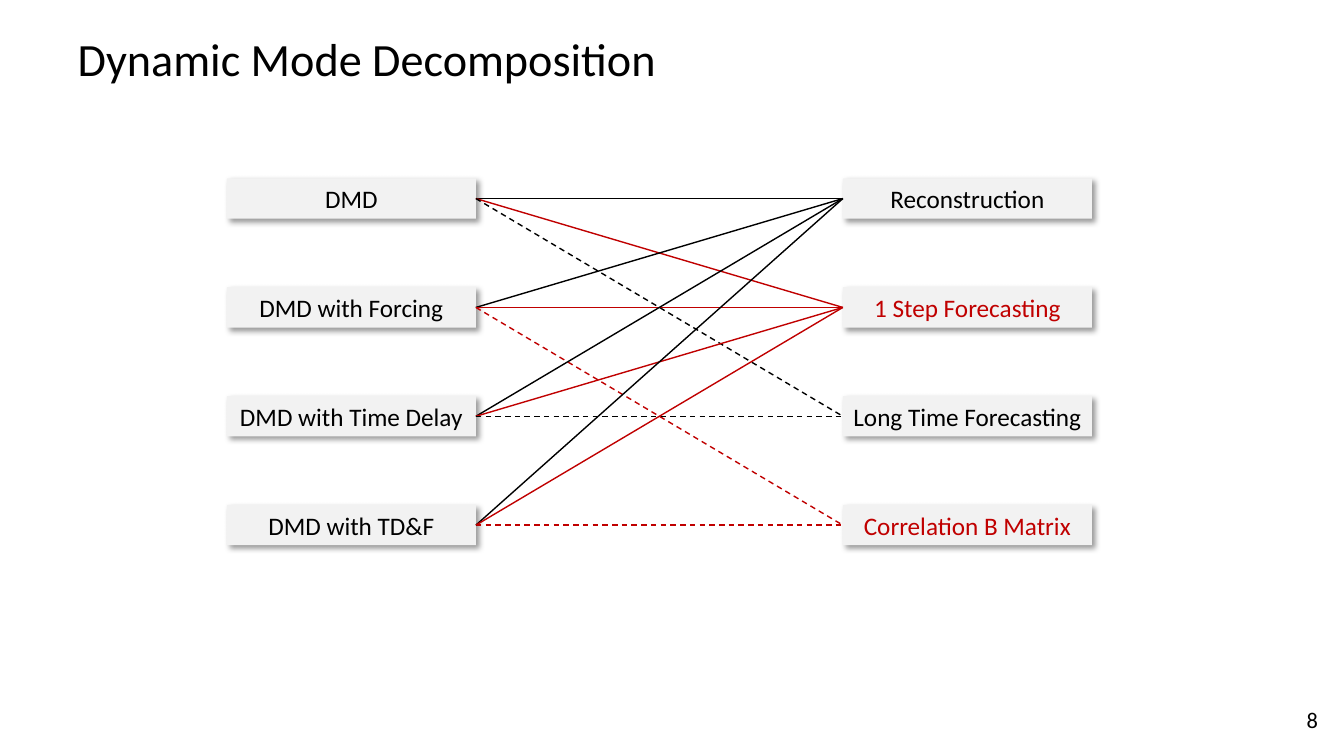
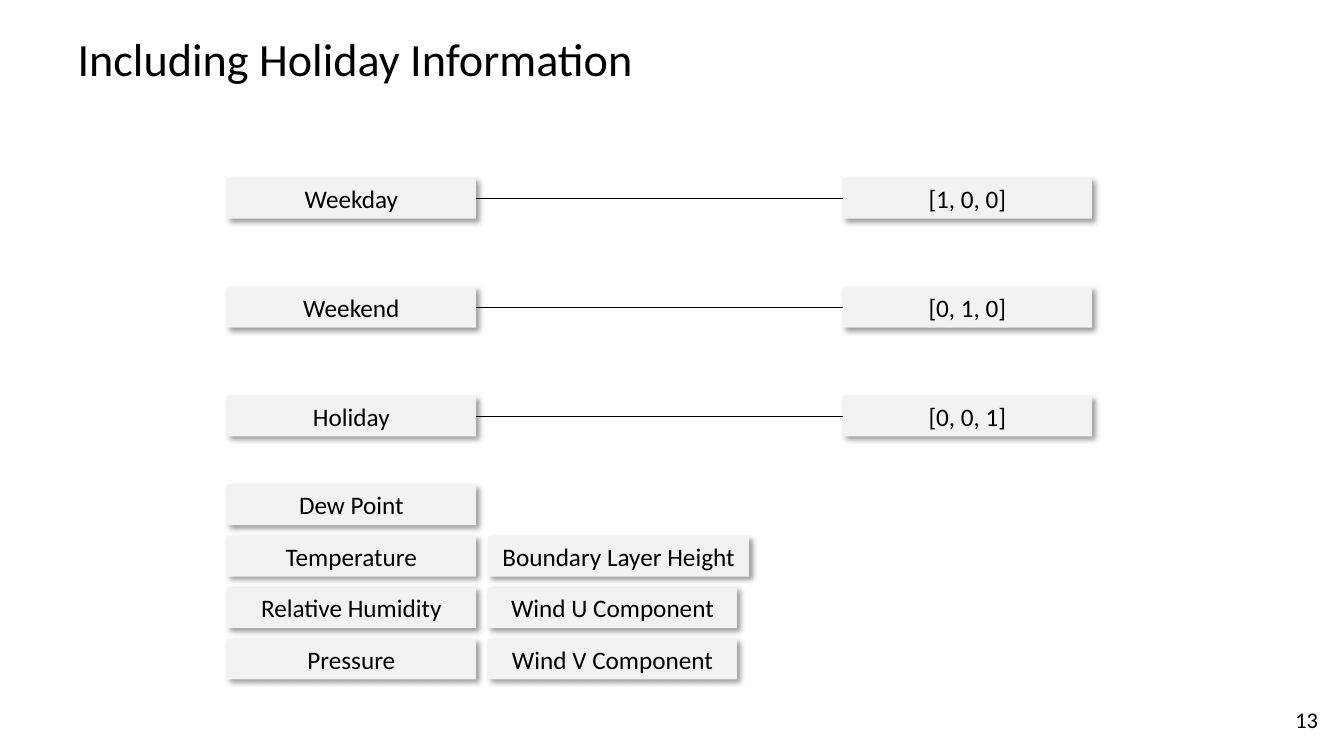
"""Build two slides of linked label boxes."""
from lxml.etree import SubElement as Sub
from pptx import Presentation
from pptx.dml.color import RGBColor as Rgb
from pptx.enum.dml import MSO_LINE as Dash
from pptx.enum.shapes import MSO_CONNECTOR as Conn, MSO_SHAPE as Shape
from pptx.enum.text import MSO_ANCHOR as Anchor, MSO_AUTO_SIZE as Auto, PP_ALIGN as Align
from pptx.oxml.ns import qn
from pptx.util import Pt

PX = 9144
FONT = "Calibri"
BLACK = Rgb(0x00, 0x00, 0x00)
RED = Rgb(0xC0, 0x00, 0x00)
GREY = Rgb(0xF2, 0xF2, 0xF2)

WIDE, HIGH = 247, 40
LEFT, MID, RIGHT = 225, 484, 836
TOP, STEP = 177, 108
LOW, PITCH = 481, 51
LEFT_SITE, RIGHT_SITE = 1, 3


def px(*sizes):
    return [size * PX for size in sizes]


def write(frame, text, size, color=BLACK, align=Align.LEFT, anchor=Anchor.MIDDLE):
    frame.auto_size = Auto.NONE
    frame.vertical_anchor = anchor
    para = frame.paragraphs[0]
    para.alignment = align
    run = para.add_run()
    run.text = text
    run.font.name = FONT
    run.font.size = Pt(size)
    run.font.color.rgb = color
    return para


def add_slide(deck, title, number):
    slide = deck.slides.add_slide(deck.slide_layouts[5])
    head = slide.shapes.title
    head.left, head.top, head.width, head.height = px(67, 31, 1063, 60)
    write(head.text_frame, title, 33).line_spacing = 0.9
    foot = slide.shapes.add_textbox(*px(1268, 694, 49, 40))
    foot.text_frame.word_wrap = True
    write(foot.text_frame, str(number), 16, align=Align.RIGHT)
    return slide


def add_shade(box):
    box.shadow.inherit = False
    effects = box._element.spPr.find(qn("a:effectLst"))
    shade = Sub(effects, qn("a:outerShdw"), blurRad="50800", dist="38100",
                dir="2700000", algn="tl", rotWithShape="0")
    tint = Sub(shade, qn("a:srgbClr"), val=str(BLACK))
    Sub(tint, qn("a:alpha"), val="40000")


def add_box(slide, text, left, top, color=BLACK, wide=WIDE):
    box = slide.shapes.add_shape(Shape.RECTANGLE, *px(left, top, wide, HIGH))
    box.fill.solid()
    box.fill.fore_color.rgb = GREY
    box.line.fill.background()
    add_shade(box)
    box.text_frame.word_wrap = False
    write(box.text_frame, text, 18, color, Align.CENTER, Anchor.TOP)
    return box


def add_stack(slide, texts, left, top, step, reds=()):
    return [add_box(slide, text, left, top + row * step, RED if row in reds else BLACK)
            for row, text in enumerate(texts)]


def add_link(slide, start, end, color=BLACK, dashed=False):
    link = slide.shapes.add_connector(Conn.STRAIGHT, 0, 0, 0, 0)
    link.begin_connect(start, RIGHT_SITE)
    link.end_connect(end, LEFT_SITE)
    link.line.color.rgb = color
    link.line.width = Pt(1)
    if dashed:
        link.line.dash_style = Dash.DASH
    Sub(link._element.spPr, qn("a:effectLst"))


def add_modes(deck):
    slide = add_slide(deck, "Dynamic Mode Decomposition", 8)
    reds = (1, 3)
    models = add_stack(slide, ("DMD", "DMD with Forcing", "DMD with Time Delay",
                               "DMD with TD&F"), LEFT, TOP, STEP)
    tasks = add_stack(slide, ("Reconstruction", "1 Step Forecasting", "Long Time Forecasting",
                              "Correlation B Matrix"), RIGHT, TOP, STEP, reds)
    goals = ((0, 1, 2), (0, 1, 3), (0, 1, 2), (3, 0, 1))
    for model, rows in zip(models, goals):
        for row in rows:
            add_link(slide, model, tasks[row], RED if row in reds else BLACK, row > 1)


def add_days(deck):
    slide = add_slide(deck, "Including Holiday Information", 13)
    days = add_stack(slide, ("Weekday", "Weekend", "Holiday"), LEFT, TOP, STEP)
    codes = add_stack(slide, ("[1, 0, 0]", "[0, 1, 0]", "[0, 0, 1]"), RIGHT, TOP, STEP)
    for day, code in zip(days, codes):
        add_link(slide, day, code)
    add_stack(slide, ("Dew Point", "Temperature", "Relative Humidity", "Pressure"),
              LEFT, LOW, PITCH)
    add_box(slide, "Boundary Layer Height", MID, LOW + PITCH, wide=259)
    add_stack(slide, ("Wind U Component", "Wind V Component"), MID, LOW + 2 * PITCH, PITCH)


def main():
    deck = Presentation()
    deck.slide_width, deck.slide_height = px(1333, 750)
    add_modes(deck)
    add_days(deck)
    deck.save("out.pptx")


if __name__ == "__main__":
    main()
